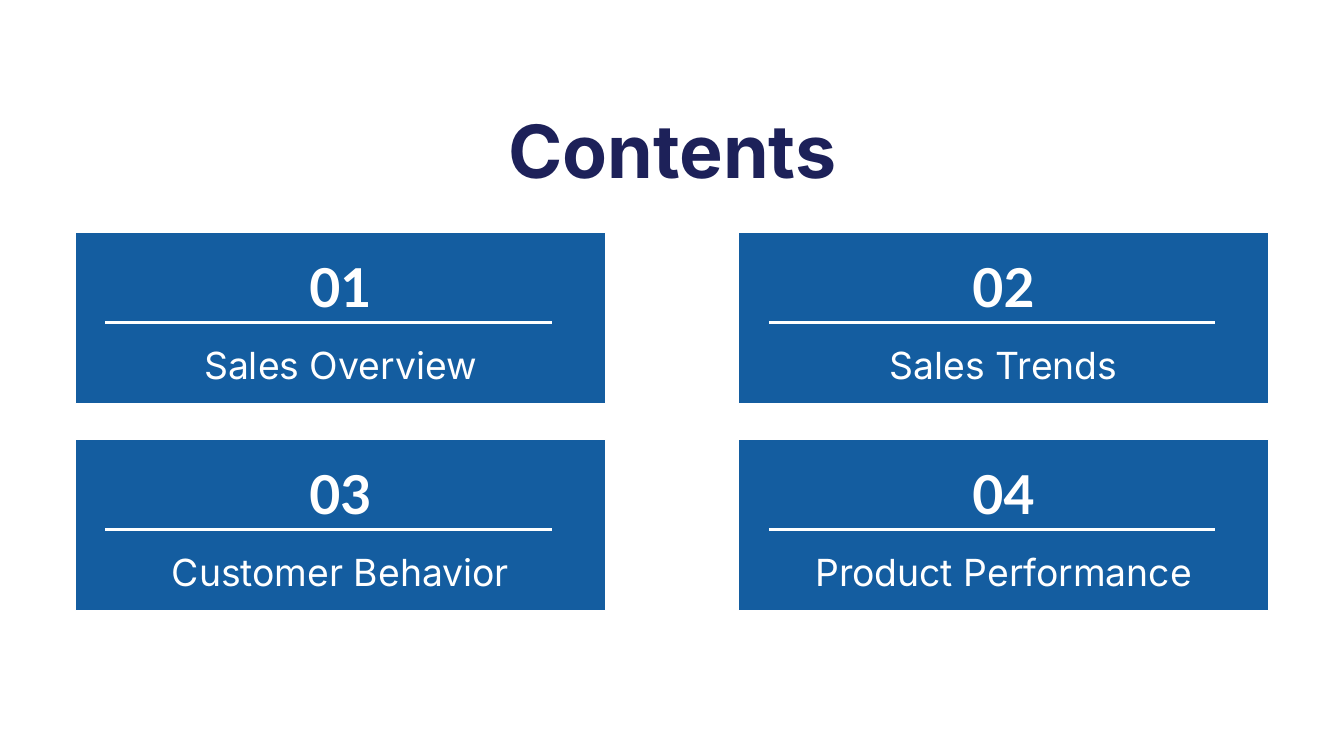
import pptx
import pptx.dml.color
import pptx.enum.shapes
import pptx.enum.text
import pptx.oxml.ns
import pptx.util
import lxml.etree

WIDTH = pptx.util.Inches(20)
HEIGHT = pptx.util.Inches(11.25)
COLUMN = WIDTH / 100
ROW = HEIGHT / 100

NAVY, BLUE, WHITE = "1D2159", "145DA0", "FFFFFF"
HEADING = {"name": "Inter", "size": pptx.util.Pt(78.7), "bold": True}
NUMBER = {"name": "Lato", "size": pptx.util.Pt(57.4), "bold": True}
TOPIC = {"name": "Inter", "size": pptx.util.Pt(40), "bold": False}
FRAME = {
    "margin_left": 0,
    "margin_top": 0,
    "margin_right": 0,
    "margin_bottom": 0,
    "word_wrap": True,
    "auto_size": pptx.enum.text.MSO_AUTO_SIZE.SHAPE_TO_FIT_TEXT,
}

TOPICS = ["Sales Overview", "Sales Trends", "Customer Behavior", "Product Performance"]
CARD_LEFT, CARD_TOP = 5.6, 30.76
CARD_WIDTH, CARD_HEIGHT = 39.43, 22.58
CARD_STEP, TIER_STEP = 49.35, 27.38


def color(value):
    return pptx.dml.color.RGBColor.from_string(value)


def place(left, top, width, height):
    return [round(v) for v in (left * COLUMN, top * ROW, width * COLUMN, height * ROW)]


def apply(target, values):
    for key, value in values.items():
        setattr(target, key, value)


def add_text(shapes, box, wording, font, ink, leading):
    frame = shapes.add_textbox(*place(*box)).text_frame
    apply(frame, FRAME)
    line = frame.paragraphs[0]
    line.alignment = pptx.enum.text.PP_ALIGN.CENTER
    line.line_spacing = pptx.util.Pt(leading)
    run = line.add_run()
    run.text = wording
    apply(run.font, font)
    run.font.color.rgb = color(ink)


def add_divider(shapes, left, top, width):
    x, y, length, _ = place(left, top, width, 0)
    divider = shapes.add_connector(
        pptx.enum.shapes.MSO_CONNECTOR.STRAIGHT, x, y, x + length, y
    )
    divider.line.color.rgb = color(WHITE)
    divider.line.width = pptx.util.Pt(4)
    lxml.etree.SubElement(divider._element.spPr, pptx.oxml.ns.qn("a:effectLst"))


def add_card(slide, box, number, topic):
    left, top, width, height = box
    shapes = slide.shapes.add_group_shape().shapes
    panel = shapes.add_shape(
        pptx.enum.shapes.MSO_SHAPE.RECTANGLE, *place(left, top, width, height)
    )
    panel.shadow.inherit = False
    panel.fill.solid()
    panel.fill.fore_color.rgb = color(BLUE)
    panel.line.color.rgb = color(WHITE)
    panel.line.width = pptx.util.Pt(0.75)
    add_divider(shapes, left + 2.25, top + 11.91, 33.2)
    topic_box = (left + 2.25, top + 13.6, 34.95, 6.4)
    add_text(shapes, topic_box, topic, TOPIC, WHITE, 55.2)
    number_box = (left + 6.97, top + 1.6, 25.5, 9.24)
    add_text(shapes, number_box, number, NUMBER, WHITE, 79.1)


def add_contents(slide):
    for index, topic in enumerate(TOPICS):
        tier, column = divmod(index, 2)
        left = CARD_LEFT + column * CARD_STEP
        top = CARD_TOP + tier * TIER_STEP
        box = (left, top, CARD_WIDTH, CARD_HEIGHT)
        add_card(slide, box, f"{index + 1:02}", topic)


def main():
    deck = pptx.Presentation()
    apply(deck, {"slide_width": WIDTH, "slide_height": HEIGHT})
    slide = deck.slides.add_slide(deck.slide_layouts[6])
    heading_box = (26.95, 13.96, 46.15, 11.64)
    add_text(slide.shapes, heading_box, "Contents", HEADING, NAVY, 94.4)
    add_contents(slide)
    deck.save("out.pptx")


if __name__ == "__main__":
    main()
